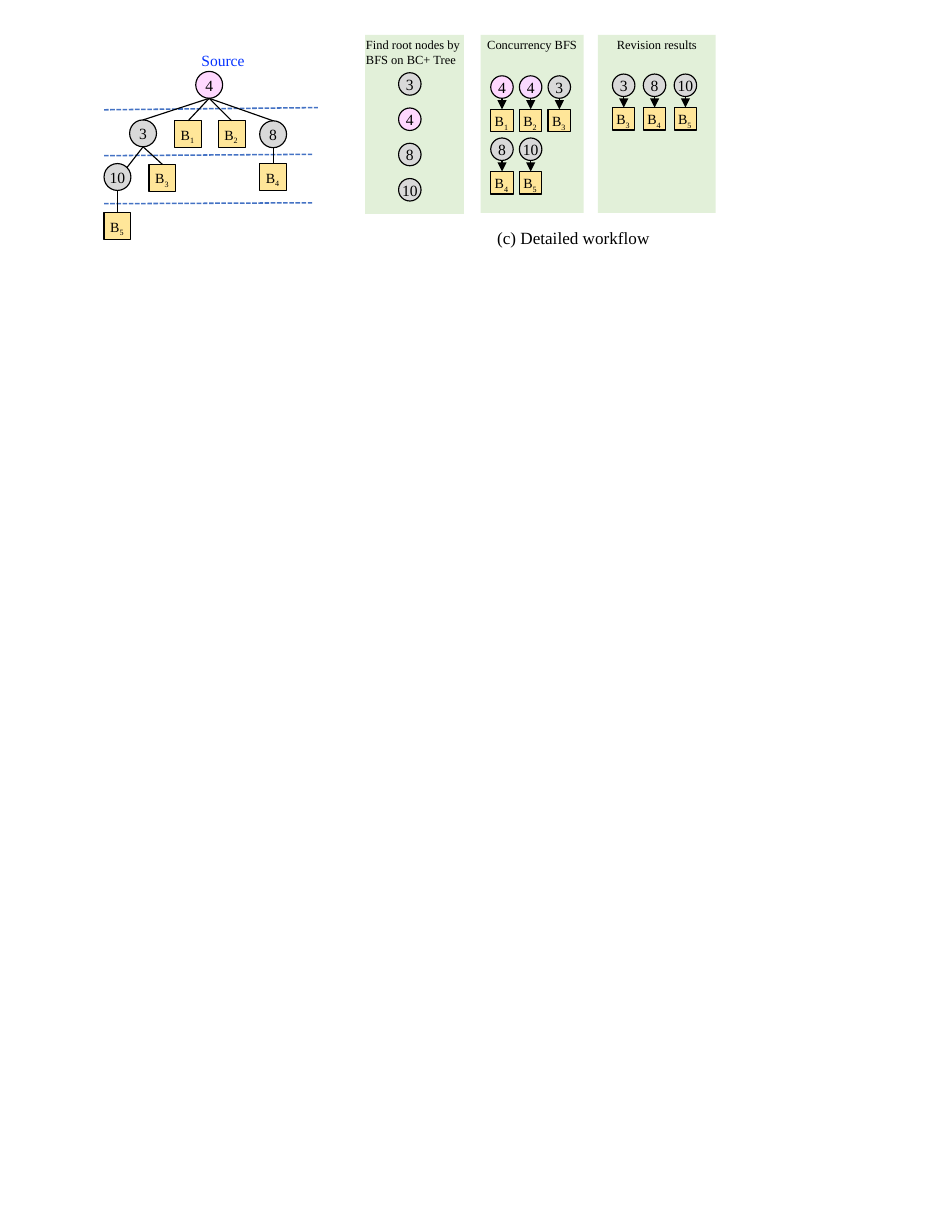
import pptx
import pptx.util
import pptx.dml.color
import pptx.enum.dml
import pptx.enum.shapes
import pptx.enum.text
import pptx.oxml
import pptx.oxml.ns

Cm = pptx.util.Cm
RGB = pptx.dml.color.RGBColor
SHAPE = pptx.enum.shapes.MSO_SHAPE
ANCHOR = pptx.enum.text.MSO_ANCHOR
ALIGN = pptx.enum.text.PP_ALIGN

BLACK = RGB(0x00, 0x00, 0x00)
PINK = RGB(0xFF, 0xD8, 0xFF)
LILAC = RGB(0xF8, 0xD9, 0xFF)
GREY = RGB(0xD9, 0xD9, 0xD9)
YELLOW = RGB(0xFF, 0xE6, 0x99)
GREEN = RGB(0xE2, 0xF0, 0xD9)
BLUE = RGB(0x44, 0x72, 0xC4)
SOURCE_BLUE = RGB(0x04, 0x32, 0xFF)

FONT = "Times New Roman"
TREE_NODE = 0.61
PANEL_NODE = 0.51
LABEL_W = 0.97


def style(p, size, color=BLACK):
    """Set the font of a whole paragraph."""
    p.font.name = FONT
    p.font.size = pptx.util.Pt(size)
    p.font.color.rgb = color


def add_text(s, text, x, y, w, h, size, color=BLACK):
    """Add a wrapping text box and return its paragraph."""
    tf = s.shapes.add_textbox(Cm(x), Cm(y), Cm(w), Cm(h)).text_frame
    tf.word_wrap = True
    p = tf.paragraphs[0]
    p.text = text
    style(p, size, color)
    return p


def add_box(s, kind, x, y, w, h, fill, outlined=True):
    """Add a filled shape, outlined in black unless told otherwise."""
    sp = s.shapes.add_shape(kind, Cm(x), Cm(y), Cm(w), Cm(h))
    sp.shadow.inherit = False
    sp.fill.solid()
    sp.fill.fore_color.rgb = fill
    if outlined:
        sp.line.color.rgb = BLACK
        sp.line.width = pptx.util.Pt(0.75)
    else:
        sp.line.fill.background()
    return sp


def add_circle(s, text, x, y, size, fill):
    """Add a numbered circular node."""
    sp = add_box(s, SHAPE.OVAL, x, y, size, size, fill)
    tf = sp.text_frame
    tf.margin_left = tf.margin_top = tf.margin_right = tf.margin_bottom = 0
    tf.vertical_anchor = ANCHOR.MIDDLE
    tf.word_wrap = False
    p = tf.paragraphs[0]
    p.text = text
    p.alignment = ALIGN.CENTER
    style(p, 10)
    return sp


def add_block(s, index, x, y, size):
    """Add a square block labelled B with a subscript index."""
    sp = add_box(s, SHAPE.RECTANGLE, x, y, size, size, YELLOW)
    p = add_text(s, "B", x + (size - LABEL_W) / 2 + 0.07,
                 y + (size - TREE_NODE) / 2, LABEL_W, 0.6, 9)
    r = p.add_run()
    r.text = index
    r._r.get_or_add_rPr().set("baseline", "-25000")
    return sp


def add_line(s, x1, y1, x2, y2, color=BLACK, width=0.75, dashed=False, arrow=False):
    """Add a straight connector."""
    c = s.shapes.add_connector(pptx.enum.shapes.MSO_CONNECTOR.STRAIGHT,
                               Cm(x1), Cm(y1), Cm(x2), Cm(y2))
    c.line.color.rgb = color
    c.line.width = pptx.util.Pt(width)
    if dashed:
        c.line.dash_style = pptx.enum.dml.MSO_LINE.SQUARE_DOT
    if arrow:
        tail = pptx.oxml.parse_xml(
            f'<a:tailEnd {pptx.oxml.ns.nsdecls("a")} type="triangle"/>')
        c.line._get_or_add_ln().append(tail)
    c._element.spPr.append(
        pptx.oxml.parse_xml(f'<a:effectLst {pptx.oxml.ns.nsdecls("a")}/>'))
    return c


def add_tree(s, x, y):
    """Draw the search tree with its level separators."""
    d = TREE_NODE
    circles = {"4": (2.08, 0.58, PINK), "3": (0.58, 1.68, GREY),
               "8": (3.53, 1.7, GREY), "10": (0, 2.67, GREY)}
    blocks = {"1": (1.6, 1.7, "4"), "2": (2.59, 1.7, "4"), "3": (1.02, 2.69, "3"),
              "4": (3.53, 2.67, "8"), "5": (0, 3.78, "10")}
    circle_edges = [("4", "3", 0.5, 0), ("4", "8", 0.5, 0), ("3", "10", 0.85, 0.15)]
    levels = [(1.45, 4.85, 1.4), (2.49, 4.72, 2.46), (3.58, 4.72, 3.56)]

    add_text(s, "Source", x + 1.96, y, 1.73, 0.69, 10, SOURCE_BLUE)
    for y1, x2, y2 in levels:
        add_line(s, x, y + y1, x + x2, y + y2, BLUE, 1, dashed=True)
    for name, (cx, cy, fill) in circles.items():
        add_circle(s, name, x + cx, y + cy, d, fill)
    for parent, child, fx, fy in circle_edges:
        px, py, _ = circles[parent]
        cx, cy, _ = circles[child]
        add_line(s, x + px + d / 2, y + py + d, x + cx + fx * d, y + cy + fy * d)
    for index, (bx, by, parent) in blocks.items():
        sp = add_block(s, index, x + bx, y + by, d)
        px, py, _ = circles[parent]
        c = add_line(s, x + px + d / 2, y + py + d, x + bx + d / 2, y + by)
        c.end_connect(sp, 0)


def add_panel(s, heading, x, y, w, h, indent):
    """Draw a green panel with its heading."""
    add_box(s, SHAPE.RECTANGLE, x, y, w, h, GREEN, outlined=False)
    add_text(s, heading, x + indent, y - 0.08, 2.68, 0.61, 8)


def add_roots(s, x, y, w, h):
    """Draw the panel that lists the root nodes."""
    add_panel(s, "Find root nodes by BFS on BC+ Tree", x, y, w, h, -0.23)
    for i, name in enumerate(["3", "4", "8", "10"]):
        add_circle(s, name, x + 0.76, y + 0.86 + 0.8 * i, PANEL_NODE,
                   PINK if name == "4" else GREY)


def add_pairs(s, pairs, x, y, step):
    """Draw a row of nodes, each with an arrow to its block."""
    d = PANEL_NODE
    for i, (name, index, fill) in enumerate(pairs):
        left = x + step * i
        add_circle(s, name, left, y, d, fill)
        sp = add_block(s, index, left, y + 0.76, d)
        c = add_line(s, left + d / 2, y + d, left + d / 2, y + 0.76, arrow=True)
        c.end_connect(sp, 0)


def add_concurrency(s, x, y, w, h):
    """Draw the panel of concurrent searches."""
    add_panel(s, "Concurrency BFS", x, y, w, h, -0.1)
    rows = [[("4", "1", PINK), ("4", "2", LILAC), ("3", "3", GREY)],
            [("8", "4", GREY), ("10", "5", GREY)]]
    for i, row in enumerate(rows):
        add_pairs(s, row, x + 0.23, y + 0.93 + 1.41 * i, 0.65)


def add_revision(s, x, y, w, h):
    """Draw the panel of revised results."""
    add_panel(s, "Revision results", x, y, w, h, 0.18)
    add_pairs(s, [("3", "3", GREY), ("8", "4", GREY), ("10", "5", GREY)],
              x + 0.33, y + 0.89, 0.7)


def add_caption(s, x, y, w, h):
    """Place the caption in the title placeholder."""
    sp = s.shapes.title
    sp.left, sp.top, sp.width, sp.height = Cm(x), Cm(y), Cm(w), Cm(h)
    tf = sp.text_frame
    tf.word_wrap = True
    tf.auto_size = pptx.enum.text.MSO_AUTO_SIZE.NONE
    tf.vertical_anchor = ANCHOR.TOP
    p = tf.paragraphs[0]
    p.text = "(c) Detailed workflow"
    p.alignment = ALIGN.LEFT
    style(p, 11)


def main():
    """Build the slide and save it."""
    prs = pptx.Presentation()
    prs.slide_width, prs.slide_height = Cm(21.59), Cm(27.94)
    s = prs.slides.add_slide(prs.slide_layouts[5])
    add_tree(s, 2.36, 1.04)
    add_roots(s, 8.28, 0.79, 2.24, 4.06)
    add_concurrency(s, 10.9, 0.79, 2.34, 4.04)
    add_revision(s, 13.56, 0.79, 2.67, 4.04)
    add_caption(s, 11.02, 5.03, 4.9, 0.74)
    prs.save("out.pptx")


if __name__ == "__main__":
    main()
